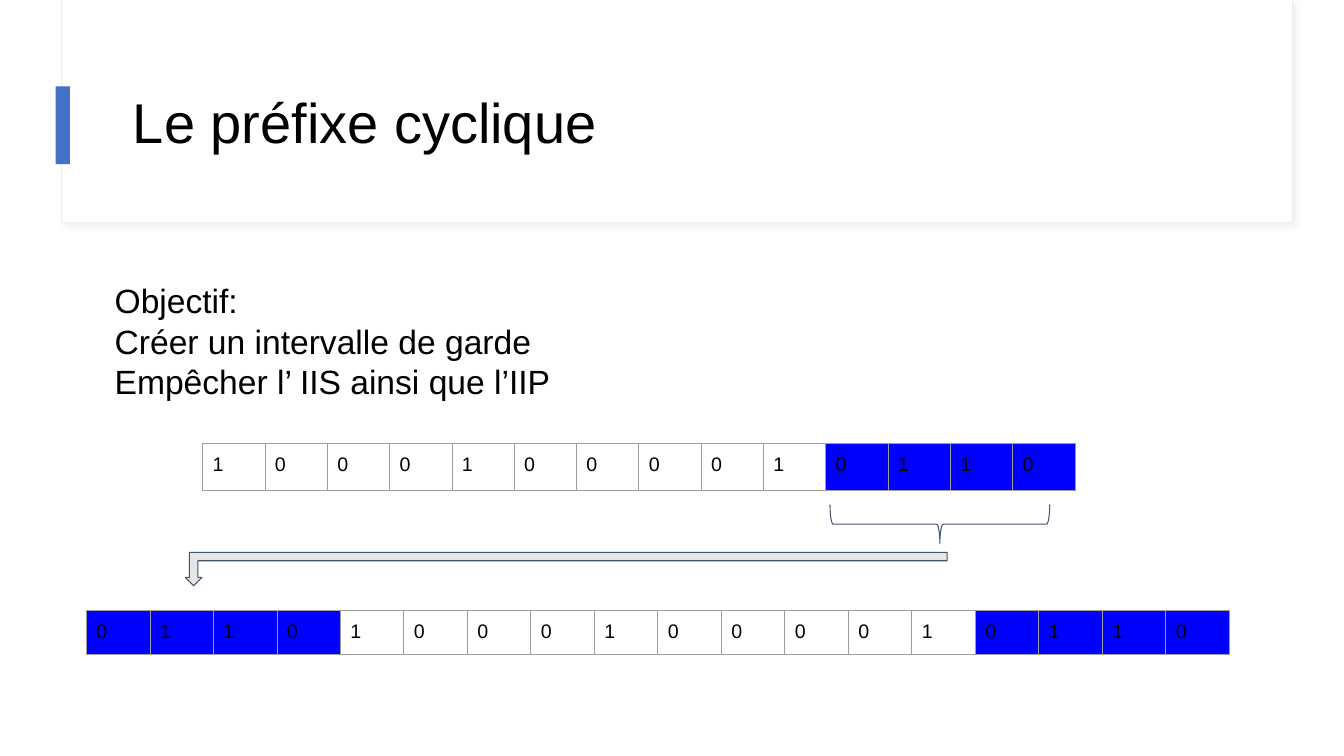
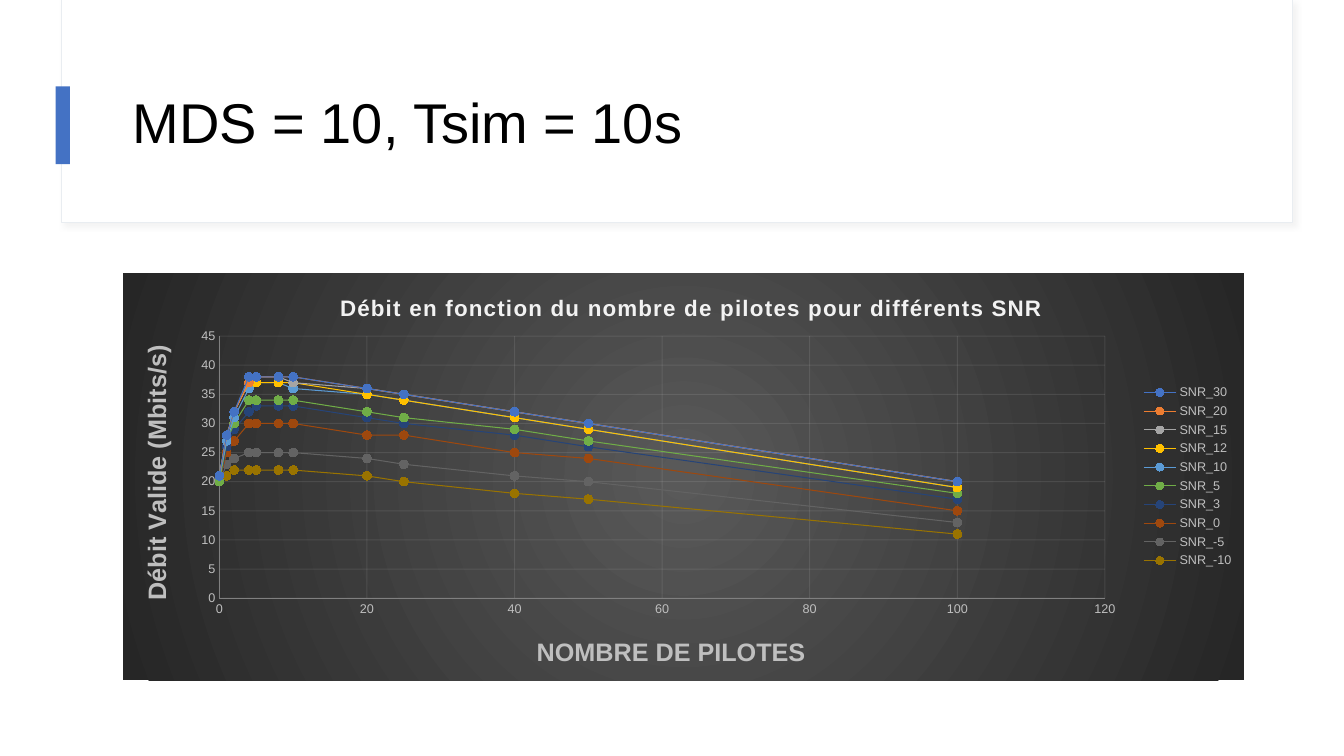
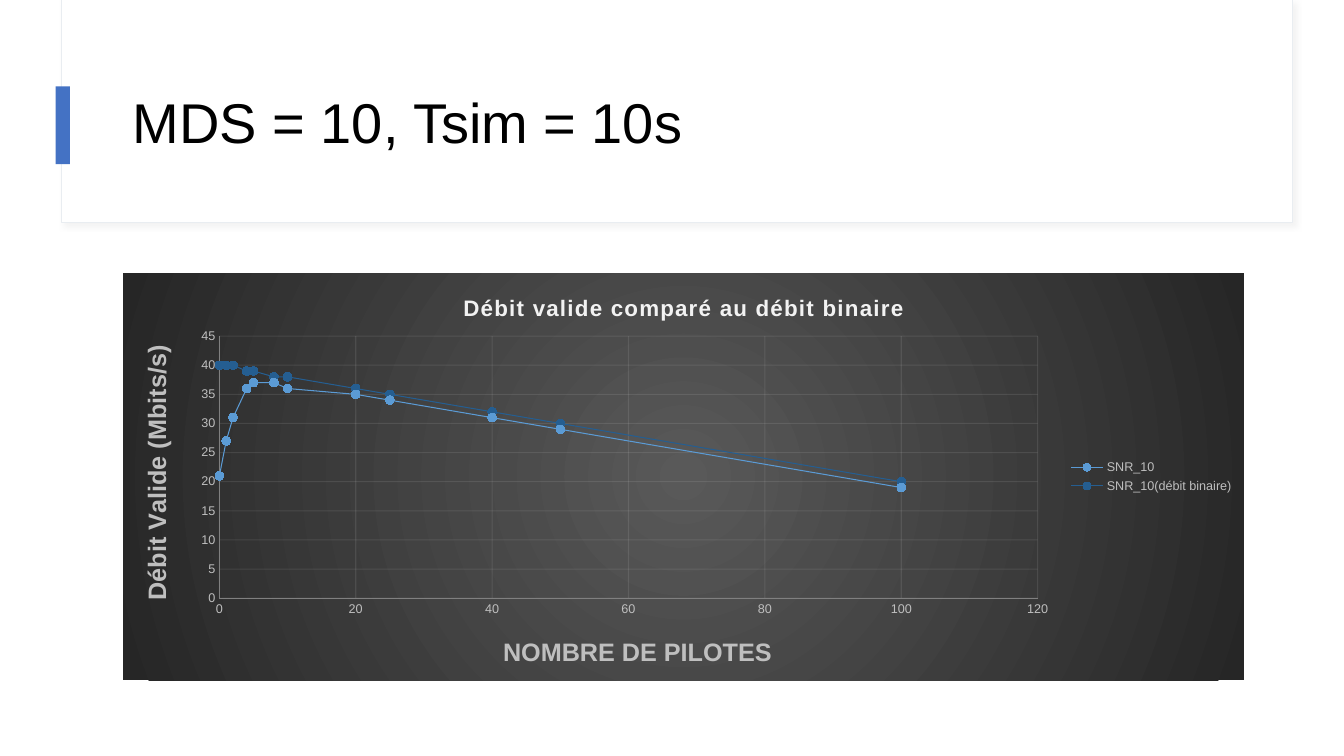
from pptx import Presentation
from pptx.chart.data import XyChartData
from pptx.dml.color import RGBColor
from pptx.enum.chart import XL_CHART_TYPE, XL_LEGEND_POSITION, XL_MARKER_STYLE, XL_TICK_MARK
from pptx.enum.shapes import MSO_SHAPE
from pptx.enum.text import MSO_ANCHOR
from pptx.oxml import parse_xml
from pptx.oxml.ns import nsdecls, qn
from pptx.util import Cm, Pt

FONT = "Arial"
WHITE = RGBColor(0xFF, 0xFF, 0xFF)
BLACK = RGBColor(0x00, 0x00, 0x00)
ACCENT = RGBColor(0x44, 0x72, 0xC4)
EDGE = RGBColor(0xE9, 0xED, 0xF1)
SLATE = RGBColor(0x44, 0x54, 0x6A)
PALE = RGBColor(0xE7, 0xE6, 0xE6)
BLUE = RGBColor(0x00, 0x00, 0xFF)
SILVER = RGBColor(0xBF, 0xBF, 0xBF)
GRAY = RGBColor(0x80, 0x80, 0x80)
LIGHT = RGBColor(0xF2, 0xF2, 0xF2)
ORANGE = RGBColor(0xED, 0x7D, 0x31)
ASH = RGBColor(0xA5, 0xA5, 0xA5)
GOLD = RGBColor(0xFF, 0xC0, 0x00)
SKY = RGBColor(0x5B, 0x9B, 0xD5)
GREEN = RGBColor(0x70, 0xAD, 0x47)
NAVY = RGBColor(0x26, 0x44, 0x78)
RUST = RGBColor(0x9E, 0x48, 0x0E)
STONE = RGBColor(0x63, 0x63, 0x63)
OLIVE = RGBColor(0x99, 0x73, 0x00)
DEEP = RGBColor(0x25, 0x5E, 0x91)

THIN = Pt(0.75)
PAD = Cm(0.25)
BORDER = "9E9E9E"
DATA = "1000100001"
PREFIX = "0110"
PILOTS = [0, 1, 2, 4, 5, 8, 10, 20, 25, 40, 50, 100]
SNR_10 = ("SNR_10", SKY, [21, 27, 31, 36, 37, 37, 36, 35, 34, 31, 29, 19])
RATES = [
    ("SNR_30", ACCENT, [21, 28, 32, 38, 38, 38, 38, 36, 35, 32, 30, 20]),
    ("SNR_20", ORANGE, [21, 28, 32, 37, 38, 38, 38, 36, 35, 32, 30, 20]),
    ("SNR_15", ASH, [21, 28, 32, 37, 38, 38, 37, 36, 35, 32, 30, 20]),
    ("SNR_12", GOLD, [21, 28, 32, 37, 37, 37, 37, 35, 34, 31, 29, 19]),
    SNR_10,
    ("SNR_5", GREEN, [20, 27, 30, 34, 34, 34, 34, 32, 31, 29, 27, 18]),
    ("SNR_3", NAVY, [20, 26, 29, 32, 33, 33, 33, 31, 30, 28, 26, 17]),
    ("SNR_0", RUST, [20, 25, 27, 30, 30, 30, 30, 28, 28, 25, 24, 15]),
    ("SNR_-5", STONE, [20, 23, 24, 25, 25, 25, 25, 24, 23, 21, 20, 13]),
    ("SNR_-10", OLIVE, [20, 21, 22, 22, 22, 22, 22, 21, 20, 18, 17, 11]),
]
BINARY = [
    SNR_10,
    ("SNR_10(débit binaire)", DEEP, [40, 40, 40, 39, 39, 38, 38, 36, 35, 32, 30, 20]),
]


def style(font, size, color, bold=False):
    font.name = FONT
    font.size = Pt(size)
    font.color.rgb = color
    font.bold = bold


def add_run(para, text, size, color=BLACK, bold=False):
    run = para.add_run()
    run.text = text
    style(run.font, size, color, bold)
    return run


def add_box(slide, kind, left, top, width, height, fill=None, line=None):
    box = slide.shapes.add_shape(kind, Cm(left), Cm(top), Cm(width), Cm(height))
    box.shadow.inherit = False
    if fill is None:
        box.fill.background()
    else:
        box.fill.solid()
        box.fill.fore_color.rgb = fill
    if line is None:
        box.line.fill.background()
    else:
        box.line.color.rgb = line
        box.line.width = THIN
    return box


def add_shade(box):
    box.element.spPr.find(qn("a:effectLst")).append(parse_xml(
        f'<a:outerShdw {nsdecls("a")} blurRad="{Pt(4)}" dist="{Pt(3)}" dir="2700000" '
        'algn="tl" rotWithShape="0"><a:srgbClr val="D8D8D8"><a:alpha val="30000"/>'
        '</a:srgbClr></a:outerShdw>'))


def add_text(slide, lines, left, top, width, height, size):
    frame = slide.shapes.add_textbox(Cm(left), Cm(top), Cm(width), Cm(height)).text_frame
    frame.word_wrap = True
    frame.margin_left = frame.margin_right = PAD
    frame.margin_top = frame.margin_bottom = PAD
    for n, line in enumerate(lines):
        para = frame.add_paragraph() if n else frame.paragraphs[0]
        add_run(para, line, size)
    return frame


def add_page(deck, title):
    slide = deck.slides.add_slide(deck.slide_layouts[6])
    rect = MSO_SHAPE.RECTANGLE
    add_shade(add_box(slide, rect, 1.56, 0, 31.01, 5.61, WHITE, EDGE))
    add_box(slide, rect, 1.57, 0, 30.99, 5.59, WHITE)
    add_box(slide, rect, 1.4, 2.18, 0.36, 1.96, ACCENT)
    frame = add_text(slide, [title], 3.1, 1.52, 28.25, 3.28, 40)
    frame.vertical_anchor = MSO_ANCHOR.MIDDLE
    frame.margin_top = frame.margin_bottom = Cm(0.13)
    frame.paragraphs[0].line_spacing = 0.9
    return slide


def add_edges(cell):
    props = cell._tc.get_or_add_tcPr()
    for n, side in enumerate("LRTB"):
        props.insert(n, parse_xml(
            f'<a:ln{side} {nsdecls("a")} w="{THIN}"><a:solidFill>'
            f'<a:srgbClr val="{BORDER}"/></a:solidFill></a:ln{side}>'))


def add_bits(slide, parts, left, top, width, height):
    bits = [(bit, fill) for text, fill in parts for bit in text]
    table = slide.shapes.add_table(
        1, len(bits), Cm(left), Cm(top), Cm(width * len(bits)), Cm(height)).table
    table.first_row = table.horz_banding = False
    for n, (bit, fill) in enumerate(bits):
        table.columns[n].width = Cm(width)
        cell = table.cell(0, n)
        cell.margin_left = cell.margin_right = PAD
        cell.margin_top = cell.margin_bottom = PAD
        if fill is None:
            cell.fill.background()
        else:
            cell.fill.solid()
            cell.fill.fore_color.rgb = fill
        add_run(cell.text_frame.paragraphs[0], bit, 14)
        add_edges(cell)


def place(node, index, target="", **spots):
    for old in node.findall(qn("c:layout")):
        node.remove(old)
    modes = "".join(f'<c:{key}Mode val="edge"/>' for key in "xy")
    sizes = "".join(f'<c:{key} val="{spot:.3f}"/>' for key, spot in spots.items())
    node.insert(index, parse_xml(
        f'<c:layout {nsdecls("c")}><c:manualLayout>{target}{modes}{sizes}'
        '</c:manualLayout></c:layout>'))


def set_axis(axis, top, step, title):
    axis.minimum_scale, axis.maximum_scale, axis.major_unit = 0, top, step
    axis.major_tick_mark = axis.minor_tick_mark = XL_TICK_MARK.NONE
    axis.has_major_gridlines = True
    grid = axis.major_gridlines.format.line
    grid.color.rgb = LIGHT
    grid.width = THIN
    axis.format.line.color.rgb = GRAY
    axis.format.line.width = THIN
    style(axis.tick_labels.font, 9, SILVER)
    add_run(axis.axis_title.text_frame.paragraphs[0], title, 18, SILVER, True)


def set_back(chart):
    stops = "".join(
        f'<a:gs pos="{pos}"><a:srgbClr val="{color}"/></a:gs>'
        for pos, color in ((0, "595959"), (100000, "262626")))
    chart.element.find(qn("c:chart")).addnext(parse_xml(
        f'<c:spPr {nsdecls("c", "a")}><a:gradFill><a:gsLst>{stops}</a:gsLst>'
        '<a:path path="circle"><a:fillToRect l="50000" t="50000" r="50000" b="50000"/>'
        '</a:path></a:gradFill><a:ln><a:noFill/></a:ln></c:spPr>'))


def add_plot(slide, title, rows, left, width):
    data = XyChartData()
    for name, color, rates in rows:
        points = data.add_series(name)
        for pilot, rate in zip(PILOTS, rates):
            points.add_data_point(pilot, rate)
    chart = slide.shapes.add_chart(
        XL_CHART_TYPE.XY_SCATTER_LINES, Cm(3.1), Cm(6.88), Cm(28.25), Cm(10.26), data).chart
    set_back(chart)
    style(chart.font, 10, BLACK)
    chart.has_title = True
    head = add_run(chart.chart_title.text_frame.paragraphs[0], title, 16, LIGHT, True)
    head._r.get_or_add_rPr().set("spc", "100")
    chart.has_legend = True
    chart.legend.position = XL_LEGEND_POSITION.RIGHT
    chart.legend.include_in_layout = False
    style(chart.legend.font, 9, SILVER)
    set_axis(chart.category_axis, 120, 20, "NOMBRE DE PILOTES")
    set_axis(chart.value_axis, 45, 5, "Débit Valide (Mbits/s)")
    turn = chart.value_axis.axis_title.text_frame._txBody.bodyPr
    turn.set("rot", "-5400000")
    turn.set("vert", "horz")
    for grid in chart.element.iter(qn("c:majorGridlines")):
        for color in grid.iter(qn("a:srgbClr")):
            color.append(parse_xml(f'<a:alpha {nsdecls("a")} val="10000"/>'))
    place(chart.chart_title._element, 1, x=left, y=0.04)
    place(chart.category_axis.axis_title._element, 1, x=0.09 + width / 2 - 0.12, y=0.88)
    place(chart.element.find(".//" + qn("c:plotArea")), 0,
          '<c:layoutTarget val="inner"/>', x=0.086, y=0.155, w=width, h=0.644)
    for line, (name, color, rates) in zip(chart.plots[0].series, rows):
        line.smooth = False
        line.format.line.color.rgb = color
        line.format.line.width = THIN
        line.marker.style = XL_MARKER_STYLE.CIRCLE
        line.marker.size = 6
        line.marker.format.fill.solid()
        line.marker.format.fill.fore_color.rgb = color
        line.marker.format.line.color.rgb = color


def add_prefix(deck):
    slide = add_page(deck, "Le préfixe cyclique")
    add_bits(slide, [(DATA, None), (PREFIX, BLUE)], 5.11, 11.18, 1.57, 1.17)
    add_text(slide, ["Objectif:", "Créer un intervalle de garde",
                     "Empêcher l’ IIS ainsi que l’IIP"], 2.64, 6.81, 28.58, 3.51, 24)
    brace = add_box(slide, MSO_SHAPE.RIGHT_BRACE, 23.19, 10.44, 0.99, 5.54, line=SLATE)
    brace.rotation = 90
    add_bits(slide, [(PREFIX, BLUE), (DATA, None), (PREFIX, BLUE)], 2.18, 15.39, 1.6, 1.07)
    arrow = add_box(slide, MSO_SHAPE.BENT_UP_ARROW, 4.67, 13.92, 19.2, 0.84, PALE, SLATE)
    arrow.rotation = 180


def main():
    deck = Presentation()
    deck.slide_width, deck.slide_height = Cm(33.87), Cm(19.05)
    add_prefix(deck)
    for title, rows, left, width in (
            ("Débit en fonction du nombre de pilotes pour différents SNR", RATES, 0.19, 0.79),
            ("Débit valide comparé au débit binaire", BINARY, 0.3, 0.73)):
        add_plot(add_page(deck, "MDS = 10, Tsim = 10s"), title, rows, left, width)
    deck.save("out.pptx")


if __name__ == "__main__":
    main()
